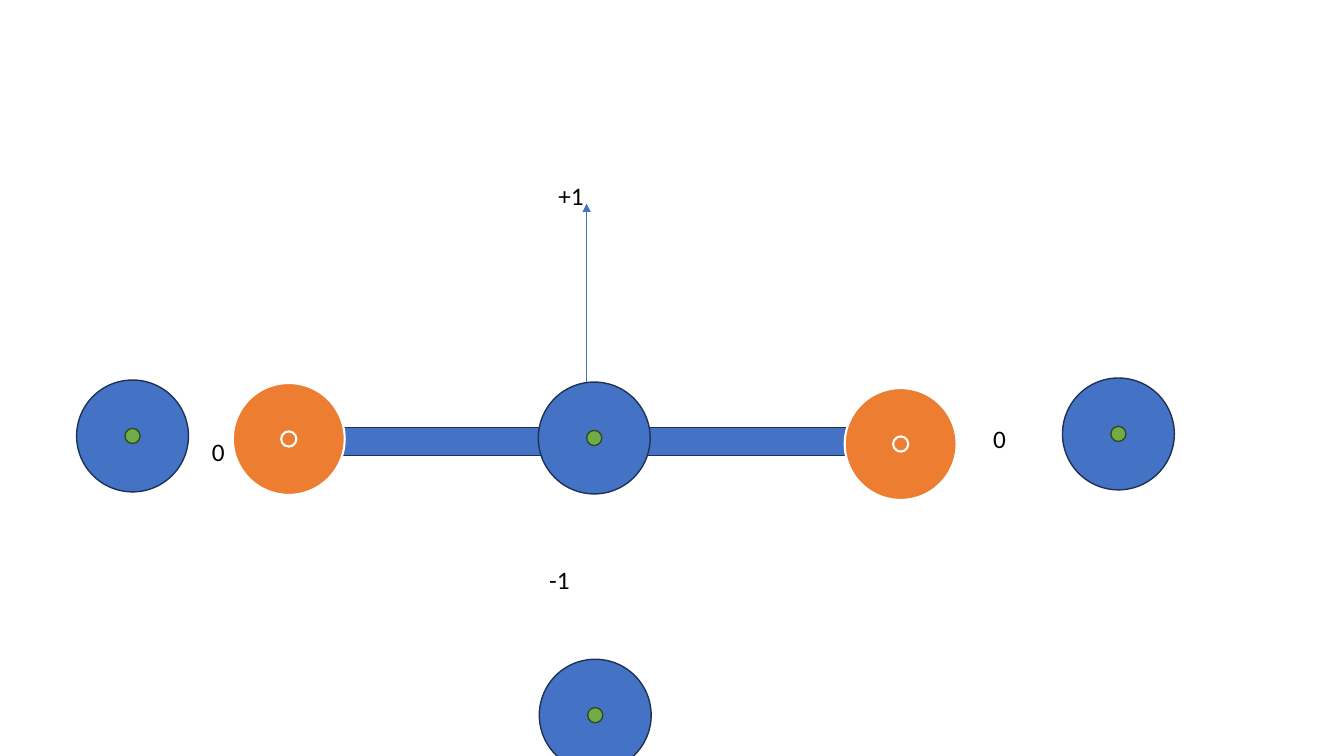
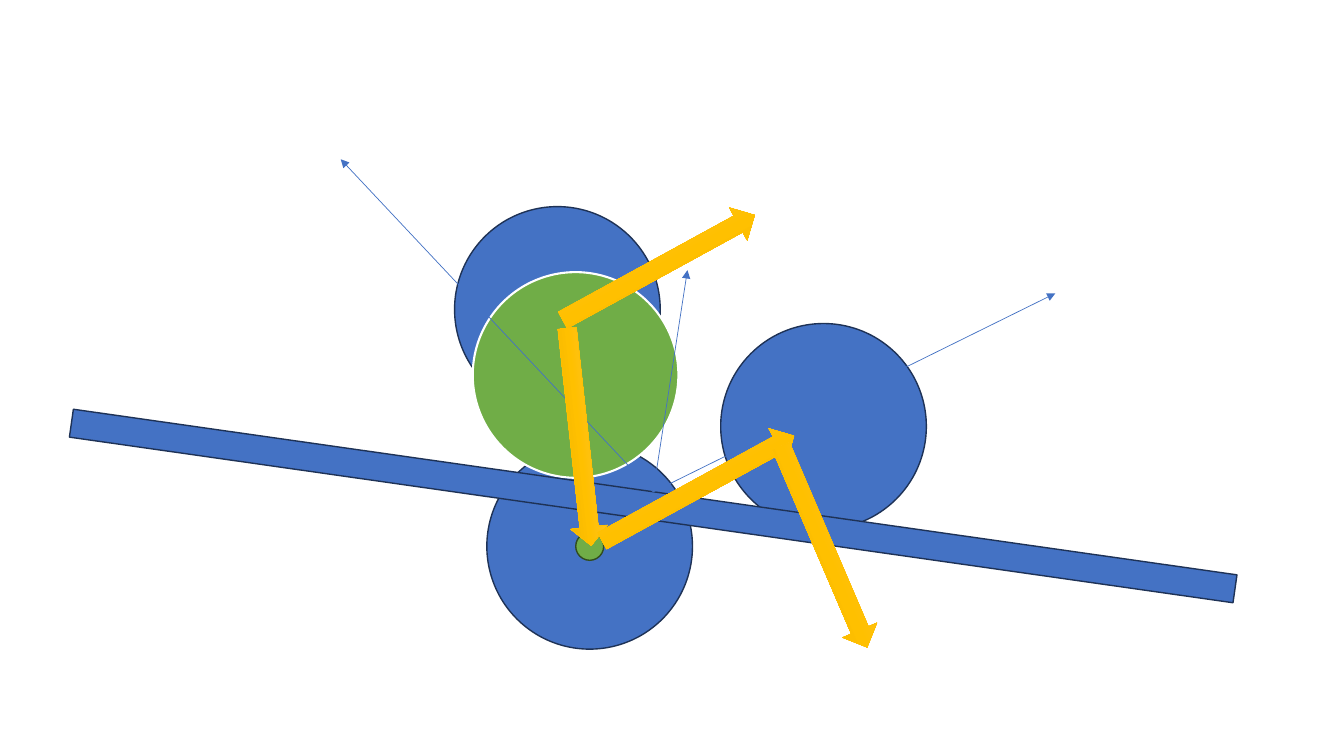
"""Build two slides of a steering bar: input wheels with labels, and wheels with vectors."""
from copy import deepcopy
from dataclasses import dataclass

from lxml.etree import SubElement
from pptx import Presentation
from pptx.dml.color import RGBColor
from pptx.enum.shapes import MSO_CONNECTOR as Connector, MSO_SHAPE as Preset
from pptx.enum.text import MSO_AUTO_SIZE as AutoSize
from pptx.oxml.ns import qn
from pptx.shapes.autoshape import Shape
from pptx.slide import Slide
from pptx.util import Emu, Inches, Pt

SLIDE_WIDTH, SLIDE_HEIGHT = Inches(13.333), Inches(7.5)
GRID_ROWS = 7.5
CELL = SLIDE_HEIGHT / GRID_ROWS
FONT = "Calibri"
TEXT_COLOR = "000000"
AXIS_COLOR = "4472C4"
HUB_SHARE = 0.136
BAR_ROWS = 0.28
LABEL_ROWS = 0.4
VECTOR_COLS, VECTOR_ROWS = 2.17, 0.37
VECTOR_EDGE = "FFC000"
VECTOR_STOPS = ((0, "FFC64B"), (0.5, "FFC000"), (1, "E3AB00"))


@dataclass(frozen=True)
class Style:
    """Fill colour, outline colour and outline width in points."""
    fill: str
    edge: str
    width: float = 1


BLUE = Style("4472C4", "1E3256")
HUB_GREEN = Style("70AD47", "314C1F")
ORANGE = Style("ED7D31", "FFFFFF", 1.5)
GREEN = Style("70AD47", "FFFFFF", 1.5)


@dataclass(frozen=True)
class Wheel:
    """A disc at a grid place, with a centred hub if it has a hub style."""
    col: float
    row: float
    size: float
    style: Style = BLUE
    hub: Style | None = HUB_GREEN


@dataclass(frozen=True)
class Bar:
    """A long bar, turned clockwise by an angle, with axis arrows from its top."""
    col: float
    row: float
    cols: float
    tips: tuple[tuple[float, float], ...]
    angle: float = 0


@dataclass(frozen=True)
class Vector:
    """A block arrow at a grid place, turned clockwise by an angle."""
    col: float
    row: float
    angle: float


@dataclass(frozen=True)
class Label:
    """A short text at a grid place."""
    text: str
    col: float
    row: float
    cols: float


SMALL, LARGE = 1.11, 2.04
INPUT_ITEMS = (
    Wheel(5.35, 6.54, SMALL),
    Bar(2.79, 4.24, 6.06, ((5.82, 2.02),)),
    Wheel(2.31, 3.8, SMALL, ORANGE, ORANGE),
    Wheel(8.38, 3.85, SMALL, ORANGE, ORANGE),
    Label("+1", 5.44, 1.74, 0.78),
    Wheel(10.54, 3.75, SMALL),
    Label("-1", 5.35, 5.55, 0.78),
    Label("0", 9.79, 4.15, 0.16),
    Wheel(0.76, 3.77, SMALL),
    Label("0", 2.04, 4.28, 0.16),
    Wheel(5.34, 3.79, SMALL),
)
VECTOR_ITEMS = (
    Wheel(4.51, 2.05, LARGE, hub=None),
    Wheel(4.83, 4.4, LARGE),
    Wheel(7.15, 3.21, LARGE, hub=None),
    Wheel(4.69, 2.7, LARGE, GREEN, None),
    Bar(0.65, 4.88, 11.66, ((6.82, 2.68), (3.38, 1.58), (10.47, 2.91)), 8.1),
    Vector(4.66, 4.15, 83.7),
    Vector(5.84, 4.66, 331.3),
    Vector(7.09, 5.24, 66.8),
    Vector(5.45, 2.47, 331.3),
)


def color(code: str) -> RGBColor:
    """Turn a hex string into a colour."""
    return RGBColor.from_string(code)


def cells(*counts: float) -> list[Emu]:
    """Turn counts of grid cells into lengths."""
    return [Emu(round(count * CELL)) for count in counts]


def add_preset(page: Slide, preset: Preset, place: tuple[float, ...], style: Style) -> Shape:
    """Draw a flat preset shape at left, top, width and height in cells."""
    shape = page.shapes.add_shape(preset, *cells(*place))
    shape.shadow.inherit = False
    shape.fill.solid()
    shape.fill.fore_color.rgb = color(style.fill)
    shape.line.color.rgb = color(style.edge)
    shape.line.width = Pt(style.width)
    return shape


def draw_wheel(page: Slide, wheel: Wheel) -> None:
    """Draw a disc and its hub."""
    add_preset(page, Preset.OVAL, (wheel.col, wheel.row, wheel.size, wheel.size), wheel.style)
    if wheel.hub:
        hub_size = wheel.size * HUB_SHARE
        inset = (wheel.size - hub_size) / 2
        place = (wheel.col + inset, wheel.row + inset, hub_size, hub_size)
        add_preset(page, Preset.OVAL, place, wheel.hub)


def draw_bar(page: Slide, bar: Bar) -> None:
    """Draw a bar and the axis arrows joined to the middle of its top."""
    beam = add_preset(page, Preset.RECTANGLE, (bar.col, bar.row, bar.cols, BAR_ROWS), BLUE)
    beam.rotation = bar.angle
    for tip in bar.tips:
        start = (bar.col + bar.cols / 2, bar.row)
        axis = page.shapes.add_connector(Connector.STRAIGHT, *cells(*start, *tip))
        axis.begin_connect(beam, 0)
        axis.line.color.rgb = color(AXIS_COLOR)
        axis.line.width = Pt(0.5)
        SubElement(axis.line._get_or_add_ln(), qn("a:tailEnd"), type="triangle")
        SubElement(axis._element.spPr, qn("a:effectLst"))


def draw_vector(page: Slide, vector: Vector) -> None:
    """Draw a block arrow with a three-stop gradient."""
    place = (vector.col, vector.row, VECTOR_COLS, VECTOR_ROWS)
    arrow = add_preset(page, Preset.RIGHT_ARROW, place, Style(VECTOR_EDGE, VECTOR_EDGE, 0.5))
    arrow.rotation = vector.angle
    arrow.fill.gradient()
    arrow.fill.gradient_angle = 270
    stop_list = arrow._element.spPr.find(qn("a:gradFill")).find(qn("a:gsLst"))
    stop_list.append(deepcopy(stop_list[0]))
    for stop, (position, code) in zip(arrow.fill.gradient_stops, VECTOR_STOPS):
        stop.position = position
        stop.color.rgb = color(code)


def draw_label(page: Slide, label: Label) -> None:
    """Draw a short text."""
    box = page.shapes.add_textbox(*cells(label.col, label.row, label.cols, LABEL_ROWS))
    frame = box.text_frame
    frame.word_wrap = True
    frame.auto_size = AutoSize.SHAPE_TO_FIT_TEXT
    span = frame.paragraphs[0].add_run()
    span.text = label.text
    span.font.name = FONT
    span.font.size = Pt(18)
    span.font.color.rgb = color(TEXT_COLOR)


DRAWERS = {Wheel: draw_wheel, Bar: draw_bar, Vector: draw_vector, Label: draw_label}


def main() -> None:
    """Build and save the deck."""
    deck = Presentation()
    deck.slide_width, deck.slide_height = SLIDE_WIDTH, SLIDE_HEIGHT
    blank = deck.slide_layouts.get_by_name("Blank")
    for items in (INPUT_ITEMS, VECTOR_ITEMS):
        page = deck.slides.add_slide(blank)
        for item in items:
            DRAWERS[type(item)](page, item)
    deck.save("out.pptx")


if __name__ == "__main__":
    main()
